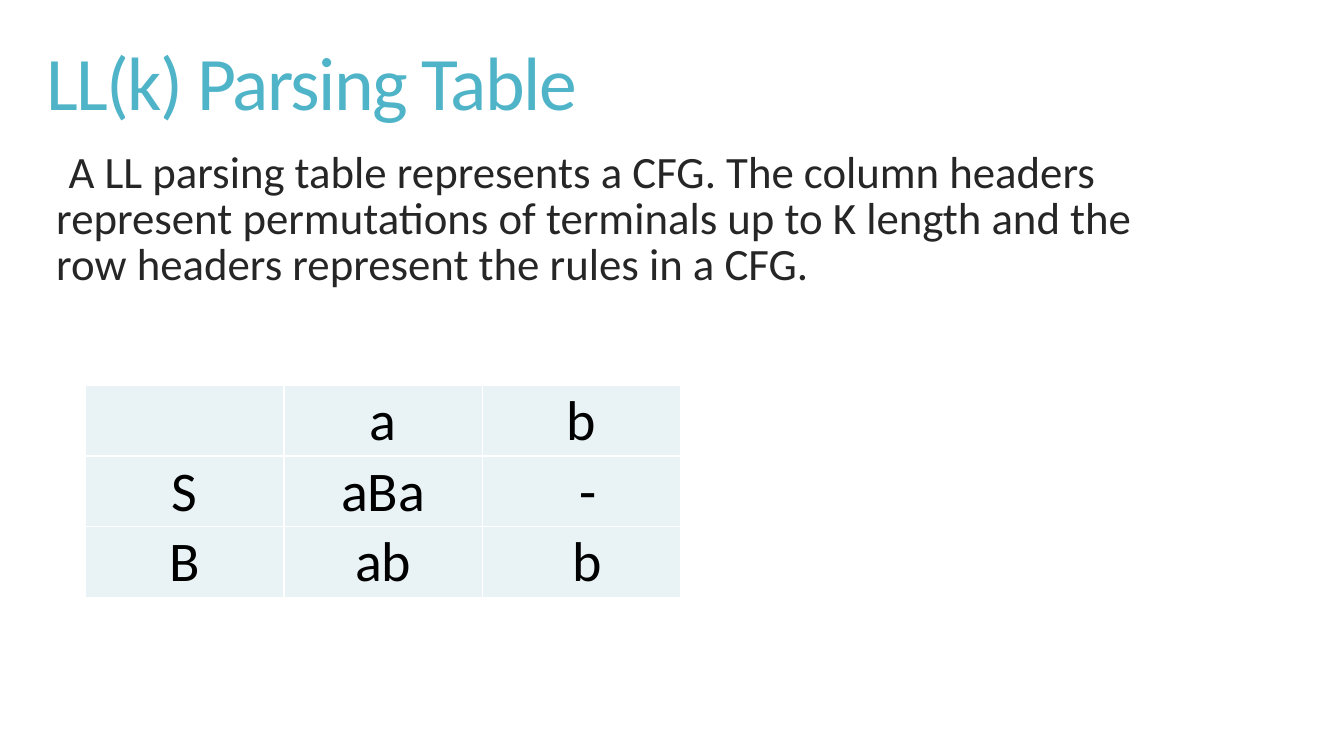
"""Build a slide that explains an LL(k) parsing table."""
from lxml import etree
from pptx import Presentation
from pptx.dml.color import RGBColor
from pptx.enum.text import MSO_ANCHOR, PP_ALIGN
from pptx.oxml.ns import qn
from pptx.util import Inches, Pt

TOP, MIDDLE = MSO_ANCHOR.TOP, MSO_ANCHOR.MIDDLE
LEFT, CENTER = PP_ALIGN.LEFT, PP_ALIGN.CENTER
COLORS = {"title": "50B4C8", "body": "262626", "cell": "E9F2F5",
          "cell_text": "000000", "border": "FFFFFF"}
NBSP = "\u00a0"
PARSING_TABLE = [["", "a", "b"],
                 ["S", "aBa", NBSP + "-"],
                 ["B", "ab", NBSP + "b"]]


class SlideBuilder:
    """Hold the style and the current slide."""

    font_name = "Calibri"

    def __init__(self, slide):
        """Keep the slide to draw on."""
        self.slide = slide

    def add_styled_run(self, paragraph, text, size, color, **formats):
        """Put one styled run in a paragraph."""
        for name, value in formats.items():
            setattr(paragraph, name, value)
        run = paragraph.add_run()
        run.text = text
        for name, value in {"name": self.font_name, "size": Pt(size)}.items():
            setattr(run.font, name, value)
        run.font.color.rgb = RGBColor.from_string(COLORS[color])
        return run

    def add_text(self, box, text, size, color, anchor=TOP, **formats):
        """Add a wrapped text box and return its paragraph and run."""
        frame = self.slide.shapes.add_textbox(*map(Inches, box)).text_frame
        frame.word_wrap = True
        frame.vertical_anchor = anchor
        paragraph = frame.paragraphs[0]
        run = self.add_styled_run(paragraph, text, size, color,
                                  alignment=LEFT, **formats)
        return paragraph, run

    def add_border(self, cell):
        """Draw a thin line on each side of a cell."""
        properties = cell._tc.get_or_add_tcPr()
        for side in ("lnL", "lnR", "lnT", "lnB"):
            line = etree.SubElement(properties, qn(f"a:{side}"), w=str(Pt(1)))
            fill = etree.SubElement(line, qn("a:solidFill"))
            etree.SubElement(fill, qn("a:srgbClr"), val=COLORS["border"])

    def add_table(self, box, rows, size):
        """Add a table with equal rows and columns."""
        frame = self.slide.shapes.add_table(len(rows), len(rows[0]), *map(Inches, box))
        formats = {"vertical_anchor": MIDDLE, "margin_left": Inches(0.01),
                   "margin_right": Inches(0.01), "margin_top": Inches(0.01),
                   "margin_bottom": 0}
        for row_index, row in enumerate(rows):
            for column_index, text in enumerate(row):
                cell = frame.table.cell(row_index, column_index)
                self.add_border(cell)
                for name, value in formats.items():
                    setattr(cell, name, value)
                cell.fill.solid()
                cell.fill.fore_color.rgb = RGBColor.from_string(COLORS["cell"])
                if text:
                    self.add_styled_run(cell.text_frame.paragraphs[0], text, size,
                                        "cell_text", alignment=CENTER)


presentation = Presentation()
presentation.slide_width = Inches(13.33)
presentation.slide_height = Inches(7.5)
builder = SlideBuilder(presentation.slides.add_slide(presentation.slide_layouts[6]))

body, _ = builder.add_text(
    (0.36, 1.46, 11.76, 4.12),
    "A LL parsing table represents a CFG. The column headers represent "
    "permutations of terminals up to K length and the row headers represent "
    "the rules in a CFG.",
    32, "body", line_spacing=0.85, space_before=Pt(13))
body_properties = body._p.get_or_add_pPr()
for name, indent in {"marL": 0.1, "indent": -0.1}.items():
    body_properties.set(name, str(Inches(indent)))
etree.SubElement(body_properties, qn("a:buChar"), char=" ")

builder.add_table((0.85, 3.82, 5.9, 2.11), PARSING_TABLE, 40)

_, title = builder.add_text((0.36, 0.27, 11.78, 1.19), "LL(k) Parsing Table",
                            54, "title", MIDDLE, line_spacing=0.85)
title.font._element.set("spc", "-120")

presentation.save("out.pptx")
